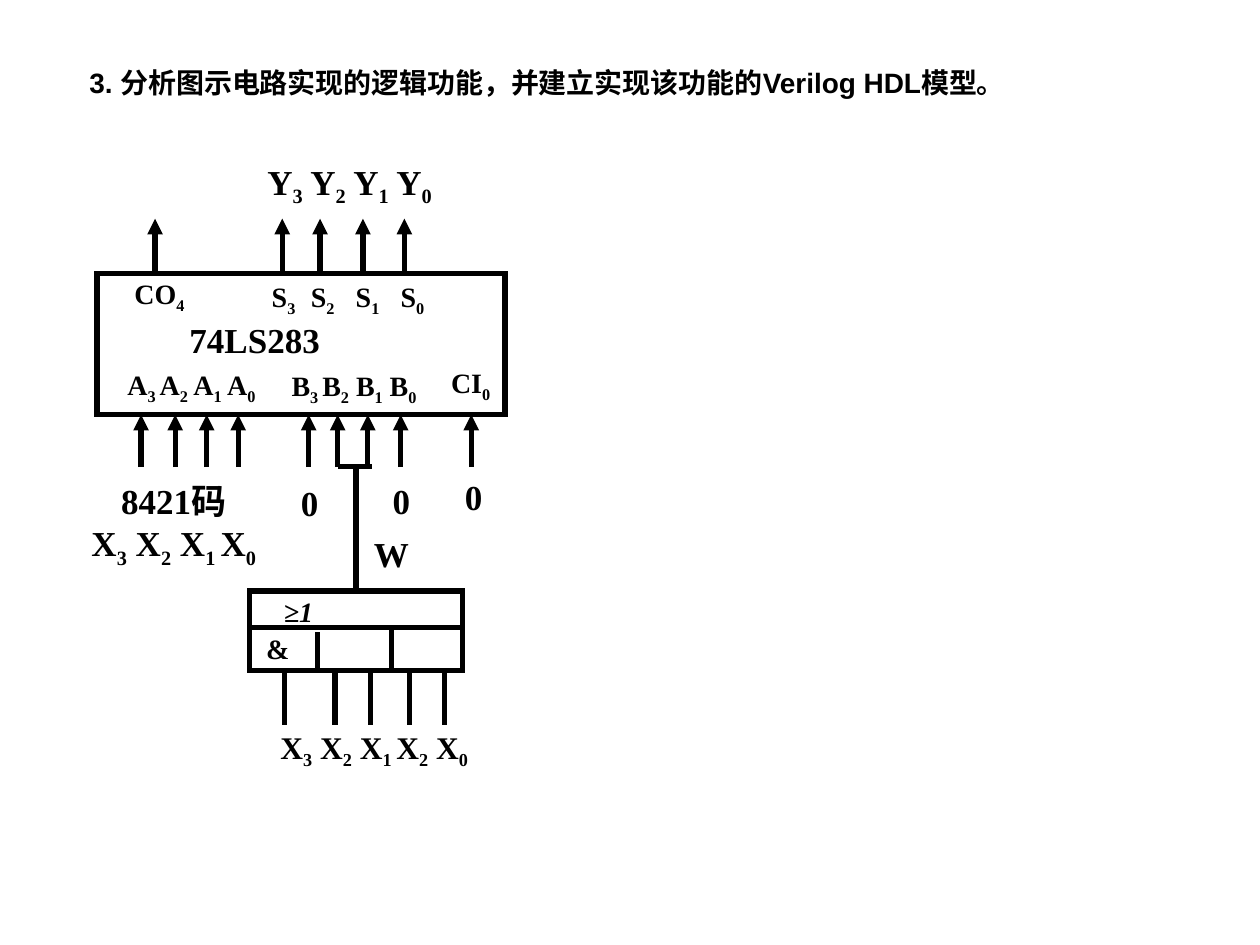
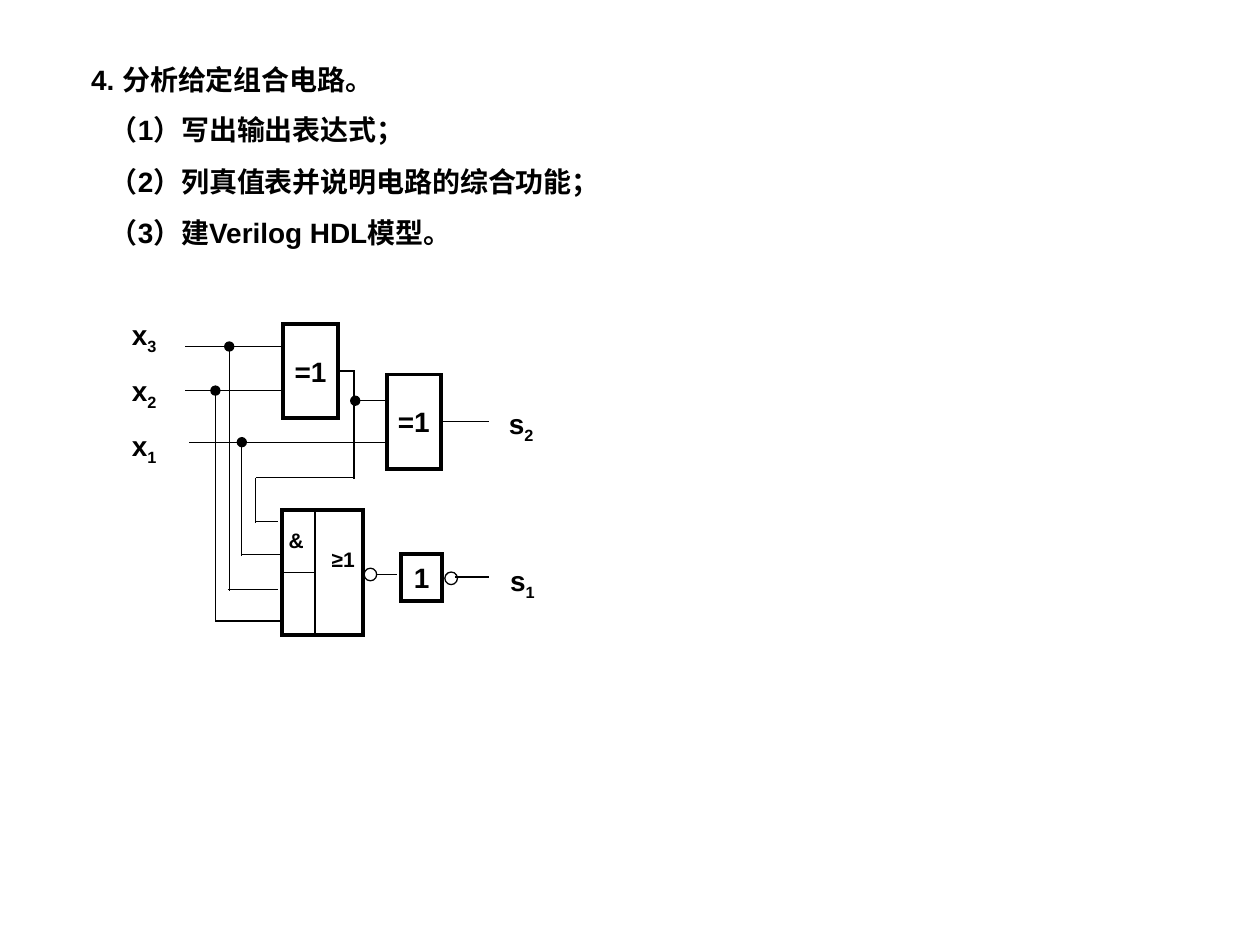
from lxml import etree
from pptx import Presentation
from pptx.dml.color import RGBColor
from pptx.enum import shapes as sh, text as tx
from pptx.oxml.ns import qn
from pptx.util import Pt

BLACK = RGBColor(0, 0, 0)
SANS, SERIF = "Arial", "Times New Roman"
BOLD, MID, THIN = 3, 2.25, 0.75  # line widths

# Slide 1: adder with a correction gate; {..} marks a subscript
TASK3 = "3. 分析图示电路实现的逻辑功能，并建立实现该功能的Verilog HDL模型。"
CHIP = (55.4, 156.2, 233.3, 80.6)
GATE = (142.6, 337.7, 121.7, 45.4)
OUTS = [88.6, 161.3, 182.9, 207.4, 231.1]
INS = [80.6, 100.1, 118.1, 136.1, 176.4, 193, 210.2, 229, 269.3]
LEGS = [162.7, 191.5, 211.7, 234, 254.2]
BARS = [(193, 266.4, 212.4, 266.4), (264.3, 358.6, 142.6, 358.6),
        (181.4, 361.4, 181.4, 381.6), (223.9, 359.3, 223.9, 382.3)]
NAMES = [  # lines, size, box
    (["Y{3} Y{2} Y{1} Y{0}"], 20, (134.8, 85, 130, 40.3)),
    (["CO{4}"], 16, (61.1, 154.8, 60, 28.1)),
    (["74LS283"], 20, (90.5, 175.7, 110, 36.7)),
    (["A{3 }A{2} A{1} A{0}"], 16, (56.9, 205.2, 105, 31.7)),
    (["B{3 }B{2} B{1} B{0}"], 16, (149.8, 205.9, 105, 31.7)),
    (["CI{0}"], 16, (238.9, 206.6, 60, 25.9)),
    (["8421码", "X{3} X{2} X{1 }X{0}"], 20, (37.3, 269.3, 124, 61.2)),
    (["0"], 20, (161.9, 275.8, 30, 23)),
    (["0"], 20, (214.4, 274.3, 30, 23)),
    (["0"], 20, (255.6, 272.2, 30, 23)),
    (["W"], 20, (203.7, 300.5, 40, 31.7)),
    (["&"], 16, (142.7, 359.8, 32, 21.6)),
    (["X{3} X{2} X{1 }X{2} X{0}"], 18, (138.8, 403.2, 150, 49.7)),
]
SUMS = "S{3}\tS{2}\tS{1}\tS{0}"
STOPS = [22.3, 48, 73.6]

# Slide 2: two XOR gates, an AND-OR gate and an inverter
TASK4 = "4. 分析给定组合电路。"
STEPS = ["（1）写出输出表达式；", "（2）列真值表并说明电路的综合功能；", "（3）建Verilog HDL模型。"]
BLOCKS = {"xor1": ("=1", (162, 185, 31, 54)), "xor2": ("=1", (221, 214, 31, 54)),
          "inv": ("1", (229, 316.8, 23.8, 26.6)), "andor": ("", (161.3, 291.6, 46.1, 71.2))}
RINGS = [(208.1, 324.7), (254.2, 326.9)]
WIRES = [
    (105.8, 198, 162, 198), (105.8, 223.2, 162, 223.2), (108, 252.7, 221, 252.7),
    (202.3, 212, 202.3, 273.6), (203, 272.9, 146.2, 272.9),
    (146.2, 272.9, 146.2, 298.8), (146.2, 298.1, 159, 298.1),
    (138.2, 316.8, 161.3, 316.8), (130.3, 337, 159, 337), (123.1, 354.9, 161.3, 354.9),
    (180, 291, 180, 362.9), (215.3, 328.3, 226.8, 328.3), (260, 329.8, 279.4, 329.8),
]
TAPS = [(203, 229, 221, 229), (138.2, 252.7, 138.2, 318),
        (131, 198, 131, 337.7), (123.1, 223.2, 123.1, 354.9)]
JOINS = [("xor1", 3, (203, 212)), ("xor2", 3, (279.4, 241)), ("andor", 1, (180, 327.2))]
SIGNS = [
    (["&"], 12, (157.7, 298.1, 23, 21.6)),
    (["≥1"], 12, (177.8, 308.9, 36.7, 21.6)),
    (["x{3}", "x{2}", "x{1}"], 16, (61.9, 177.8, 41, 92.9)),
    (["s{2}"], 16, (279.4, 229, 36.7, 29.5)),
    (["s{1}"], 16, (283, 318.2, 31, 29.5)),
]


def pts(vals):
    return [Pt(v) for v in vals]


def style(par, size, face, align=tx.PP_ALIGN.CENTER):
    par.alignment = align
    font = par.font
    font.size, font.name, font.bold = Pt(size), face, True
    font.color.rgb = BLACK


def write(par, line):
    for i, part in enumerate(line.replace("}", "{").split("{")):
        if part:
            run = par.add_run()
            run.text = part
            if i % 2:
                run._r.get_or_add_rPr().set("baseline", "-25000")


def label(slide, lines, size, box, face, wrap=False, gap=0, align=tx.PP_ALIGN.CENTER, stops=()):
    frame = slide.shapes.add_textbox(*pts(box)).text_frame
    frame.word_wrap = wrap
    frame.vertical_anchor = tx.MSO_ANCHOR.TOP if wrap else tx.MSO_ANCHOR.MIDDLE
    for i, line in enumerate(lines):
        par = frame.add_paragraph() if i else frame.paragraphs[0]
        if i and gap:
            par.space_before = Pt(gap)
        if stops:
            tabs = etree.SubElement(par._p.get_or_add_pPr(), qn("a:tabLst"))
            for stop in stops:
                etree.SubElement(tabs, qn("a:tab"), pos=str(Pt(stop)), algn="l")
        write(par, line)
        style(par, size, face, align)
    return frame


def wire(slide, ends, width, head=None, tail=None):
    line = slide.shapes.add_connector(sh.MSO_CONNECTOR.STRAIGHT, *pts(ends))
    line.line.width = Pt(width)
    line.line.color.rgb = BLACK
    props = line._element.spPr
    for tag, kind in (("a:headEnd", head), ("a:tailEnd", tail)):
        if kind:
            etree.SubElement(props.find(qn("a:ln")), qn(tag), type=kind)
    etree.SubElement(props, qn("a:effectLst"))
    return line


def block(slide, box, width, word="", kind=sh.MSO_SHAPE.RECTANGLE):
    part = slide.shapes.add_shape(kind, *pts(box))
    part.shadow.inherit = False
    part.fill.background()
    part.line.width = Pt(width)
    part.line.color.rgb = BLACK
    # Square corners
    etree.SubElement(part._element.spPr.find(qn("a:ln")), qn("a:miter"), lim="800000")
    if word:
        frame = part.text_frame
        frame.margin_left = frame.margin_right = 0
        frame.vertical_anchor = tx.MSO_ANCHOR.MIDDLE
        frame.text = word
        style(frame.paragraphs[0], 16, SANS)
    return part


def start(deck, words, box):
    slide = deck.slides.add_slide(deck.slide_layouts[5])
    title = slide.shapes.title
    title.left, title.top, title.width, title.height = pts(box)
    frame = title.text_frame
    frame.text = words
    frame.word_wrap = True
    frame.auto_size = tx.MSO_AUTO_SIZE.NONE
    frame.vertical_anchor = tx.MSO_ANCHOR.TOP
    style(frame.paragraphs[0], 16, SANS, tx.PP_ALIGN.LEFT)
    return slide


def adder(deck):
    slide = start(deck, TASK3, (43.9, 33.8, 586.8, 26.6))
    block(slide, CHIP, BOLD)
    gate = block(slide, GATE, BOLD)
    # Pins and legs
    for x in OUTS:
        wire(slide, (x, 155, x, 125), BOLD, tail="triangle")
    for x in INS:
        wire(slide, (x, 267, x, 237), BOLD, tail="triangle")
    for x in LEGS:
        wire(slide, (x, 384, x, 414.5), BOLD)
    for ends in BARS:
        wire(slide, ends, BOLD)
    mid = GATE[0] + GATE[2] / 2
    wire(slide, (mid, 267, mid, GATE[1]), BOLD).end_connect(gate, 0)
    # Names
    for lines, size, box in NAMES:
        label(slide, lines, size, box, SERIF)
    label(slide, [SUMS], 16, (148.2, 157.2, 110, 26.6), SERIF,
          align=tx.PP_ALIGN.LEFT, stops=STOPS)
    either = label(slide, ["≥1"], 16, (150.6, 334.7, 40, 29.5), SERIF)
    either.paragraphs[0].font.italic = True


def logic(deck):
    slide = start(deck, TASK4, (44.9, 32, 580.3, 26.6))
    label(slide, STEPS, 16, (55.7, 61, 567, 85), SANS, True, 10, tx.PP_ALIGN.LEFT)
    # Gates
    gates = {name: block(slide, box, MID, word) for name, (word, box) in BLOCKS.items()}
    for x, y in RINGS:
        block(slide, (x, y, 7.2, 7.2), THIN, kind=sh.MSO_SHAPE.OVAL)
    # Wires, with a dot where one branches off
    for ends in WIRES:
        wire(slide, ends, THIN)
    for ends in TAPS:
        wire(slide, ends, THIN, head="oval")
    for name, side, end in JOINS:
        wire(slide, end + end, THIN).begin_connect(gates[name], side)
    # Signal names
    for lines, size, box in SIGNS:
        label(slide, lines, size, box, SANS, True, 10)


def main():
    deck = Presentation()
    deck.slide_width, deck.slide_height = Pt(720), Pt(540)
    adder(deck)
    logic(deck)
    deck.save("out.pptx")


if __name__ == "__main__":
    main()
